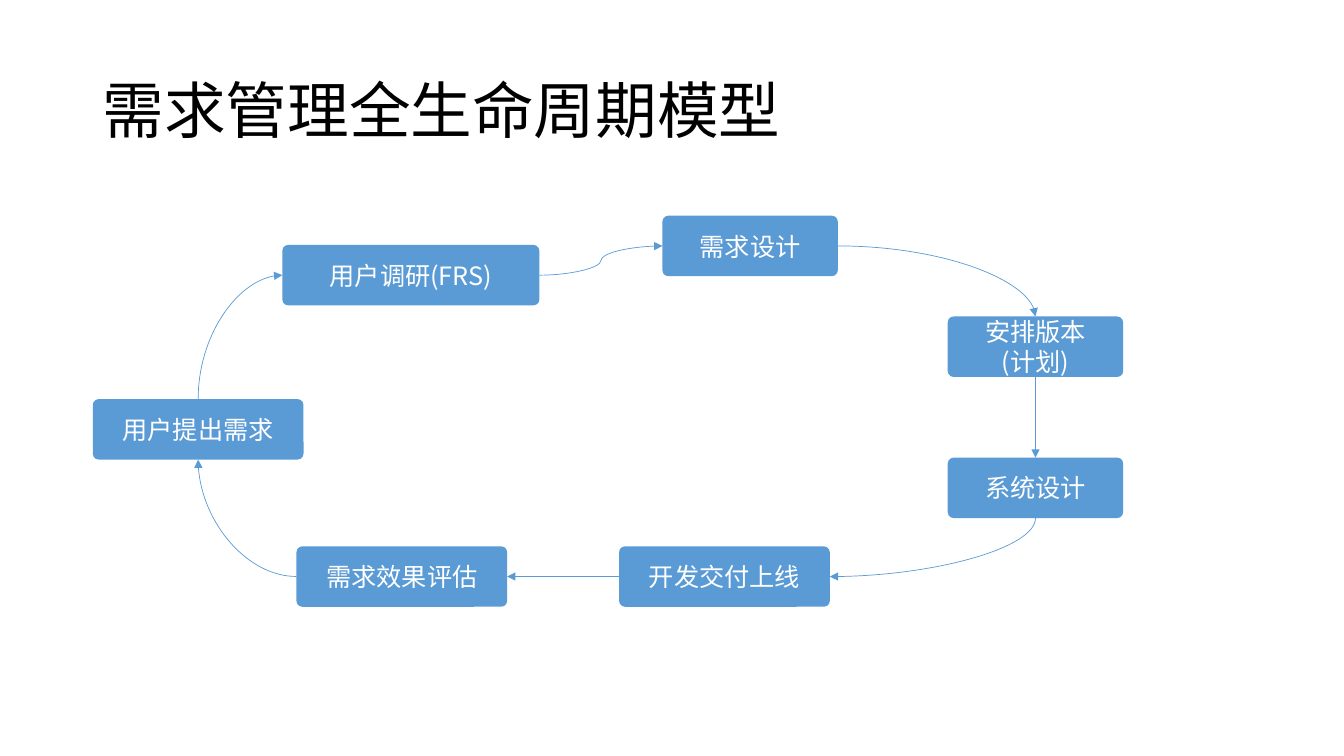
"""Build the slide of the full life cycle of requirement management."""
from dataclasses import dataclass

from lxml.etree import SubElement
from pptx import Presentation
from pptx.dml.color import RGBColor
from pptx.enum.shapes import MSO_CONNECTOR as Connector, MSO_SHAPE as Preset
from pptx.enum.text import MSO_ANCHOR as Anchor, PP_ALIGN as Align
from pptx.oxml.ns import qn
from pptx.slide import Slide
from pptx.text.text import TextFrame
from pptx.util import Inches, Pt

FONT = "Noto Sans CJK SC"
BLUE, WHITE, BLACK = "5B9BD5", "FFFFFF", "000000"
STEP_HEIGHT = 0.6
QUARTER_TURN = "5400000"


@dataclass(frozen=True)
class Step:
    left: float
    top: float
    width: float
    text: str

    def side(self, name: str) -> tuple[float, float]:
        """Return the middle point of the named side."""
        across, down = {"left": (0, 0.5), "right": (1, 0.5),
                        "top": (0.5, 0), "bottom": (0.5, 1)}[name]
        return self.left + across * self.width, self.top + down * STEP_HEIGHT


@dataclass(frozen=True)
class Link:
    start: Step
    start_side: str
    end: Step
    end_side: str


REQUEST = Step(0.92, 3.96, 2.09, "用户提出需求")
RESEARCH = Step(2.8, 2.43, 2.55, "用户调研(FRS)")
DESIGN = Step(6.57, 2.14, 1.74, "需求设计")
SCHEDULE = Step(9.4, 3.14, 1.74, "安排版本\n(计划)")
SYSTEM = Step(9.4, 4.54, 1.74, "系统设计")
DELIVERY = Step(6.14, 5.42, 2.09, "开发交付上线")
REVIEW = Step(2.94, 5.42, 2.09, "需求效果评估")
STEPS = (REQUEST, RESEARCH, DESIGN, SCHEDULE, SYSTEM, DELIVERY, REVIEW)

LINKS = (
    Link(REQUEST, "top", RESEARCH, "left"),
    Link(RESEARCH, "right", DESIGN, "left"),
    Link(DESIGN, "right", SCHEDULE, "top"),
    Link(SCHEDULE, "bottom", SYSTEM, "top"),
    Link(SYSTEM, "bottom", DELIVERY, "right"),
    Link(DELIVERY, "left", REVIEW, "right"),
    Link(REVIEW, "left", REQUEST, "bottom"),
)


def color(value: str) -> RGBColor:
    """Turn a hex string into a colour."""
    return RGBColor.from_string(value)


def write(frame: TextFrame, text: str, size: int, ink: str, align: Align) -> None:
    """Fill a frame with one paragraph per line of text."""
    frame.word_wrap = True
    frame.vertical_anchor = Anchor.MIDDLE
    frame.text = text
    for para in frame.paragraphs:
        para.alignment = align
        para.font.size = Pt(size)
        para.font.name = FONT
        para.font.color.rgb = color(ink)
        for span in para.runs:
            SubElement(span.font._element, qn("a:ea"), typeface=FONT)


def add_title(page: Slide, text: str) -> None:
    """Add the heading."""
    box = page.shapes.add_textbox(Inches(0.92), Inches(0.4), Inches(11.5), Inches(1.45))
    write(box.text_frame, text, 44, BLACK, Align.LEFT)
    box.text_frame.paragraphs[0].line_spacing = 0.9


def add_step(page: Slide, step: Step) -> None:
    """Add one rounded box of the cycle."""
    box = page.shapes.add_shape(
        Preset.ROUNDED_RECTANGLE, Inches(step.left), Inches(step.top),
        Inches(step.width), Inches(STEP_HEIGHT))
    box.adjustments[0] = 0.098
    box.shadow.inherit = False
    box.fill.solid()
    box.fill.fore_color.rgb = color(BLUE)
    box.line.fill.background()
    write(box.text_frame, step.text, 18, WHITE, Align.CENTER)


def add_link(page: Slide, link: Link) -> None:
    """Add a curved arrow, turned a quarter when it leaves vertically."""
    upright = ("top", "bottom")
    vertical = link.start_side in upright
    bends_once = vertical != (link.end_side in upright)
    (x1, y1), (x2, y2) = link.start.side(link.start_side), link.end.side(link.end_side)
    if vertical:
        middle_x, middle_y = (x1 + x2) / 2, (y1 + y2) / 2
        half_x, half_y = (y2 - y1) / 2, (x1 - x2) / 2
        x1, y1 = middle_x - half_x, middle_y - half_y
        x2, y2 = middle_x + half_x, middle_y + half_y
    arrow = page.shapes.add_connector(
        Connector.CURVE, Inches(x1), Inches(y1), Inches(x2), Inches(y2))
    arrow.line.color.rgb = color(BLUE)
    arrow.line.width = Pt(0.5)
    properties = arrow.element.spPr
    if vertical:
        properties.find(qn("a:xfrm")).set("rot", QUARTER_TURN)
    if bends_once:
        properties.find(qn("a:prstGeom")).set("prst", "curvedConnector2")
    SubElement(properties.find(qn("a:ln")), qn("a:tailEnd"), type="triangle")
    SubElement(properties, qn("a:effectLst"))


def main() -> None:
    """Build and save the deck."""
    deck = Presentation()
    deck.slide_width, deck.slide_height = Inches(13.33), Inches(7.5)
    page = deck.slides.add_slide(deck.slide_layouts[6])
    add_title(page, "需求管理全生命周期模型")
    for step in STEPS:
        add_step(page, step)
    for link in LINKS:
        add_link(page, link)
    deck.save("out.pptx")


if __name__ == "__main__":
    main()
